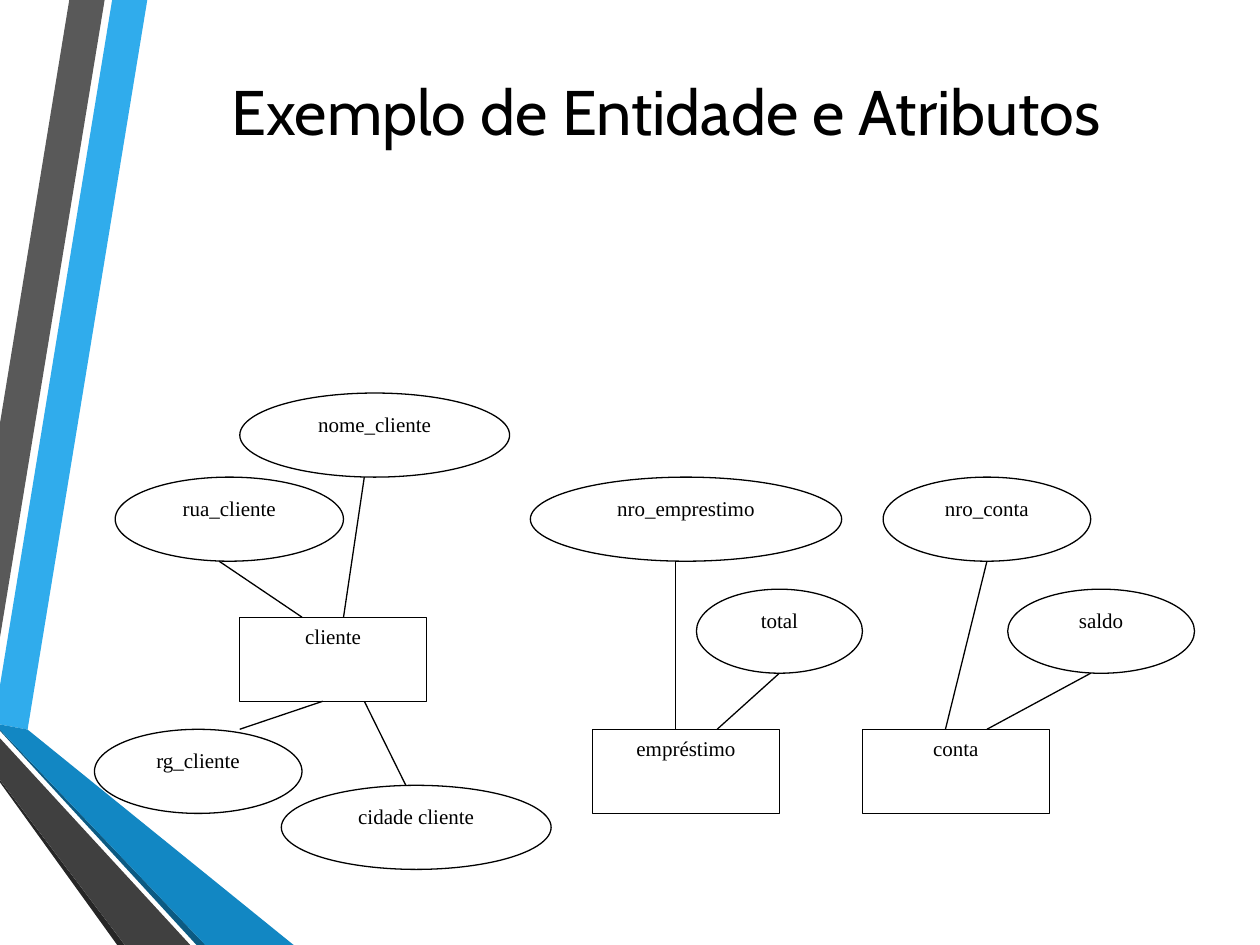
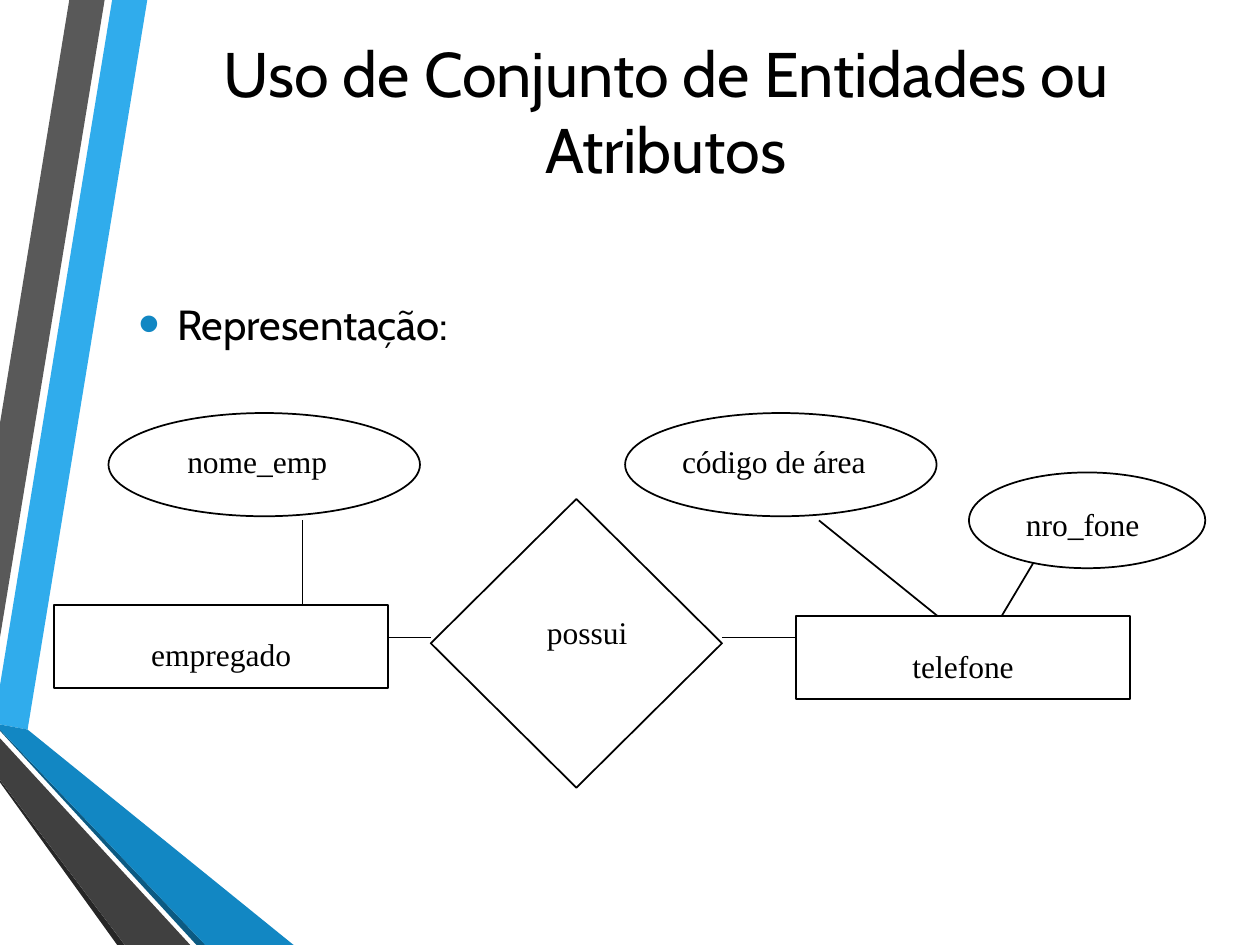
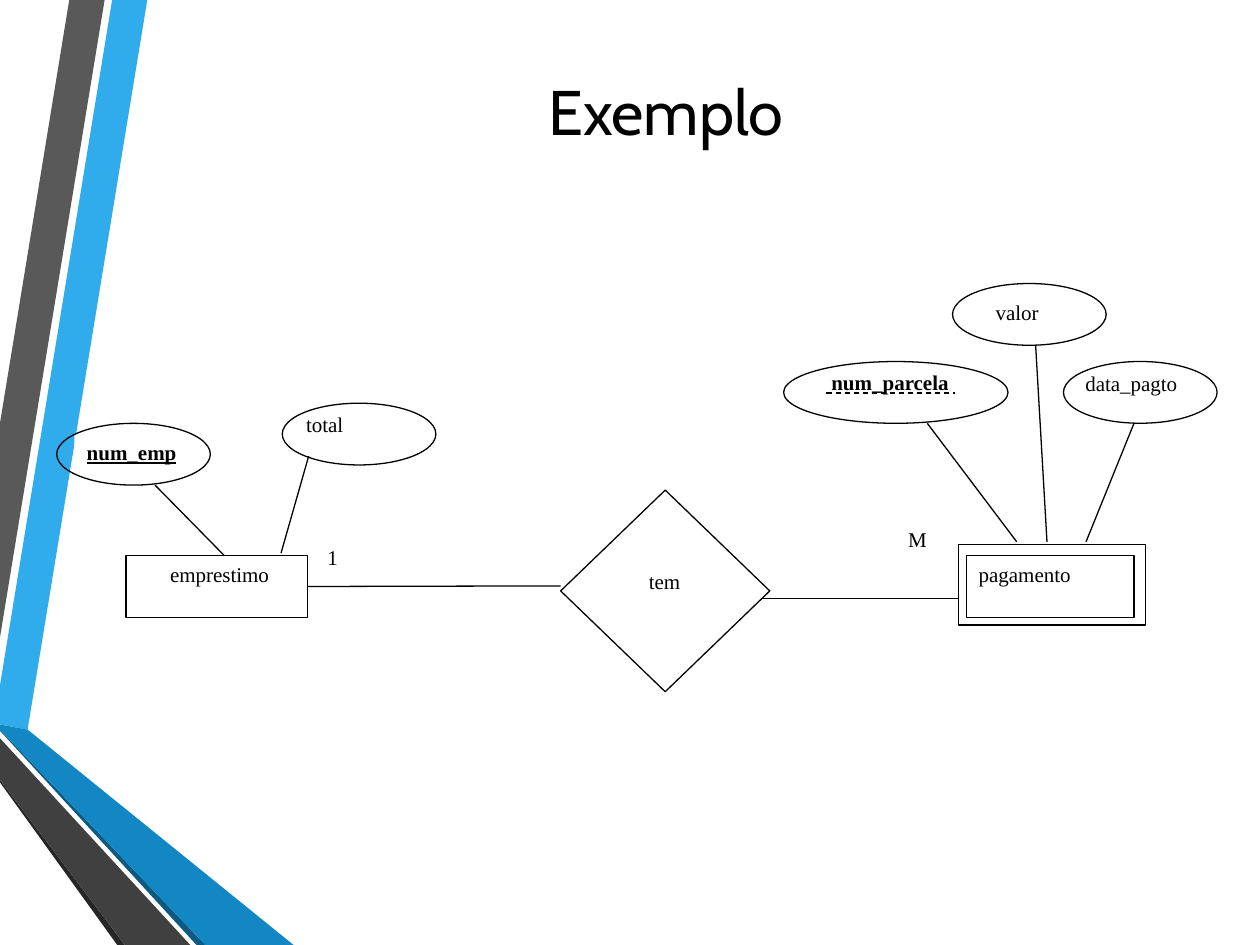
from dataclasses import dataclass
from typing import Any

from lxml.etree import SubElement
from pptx import Presentation
from pptx.dml.color import RGBColor
from pptx.enum.dml import MSO_LINE
from pptx.enum.shapes import MSO_CONNECTOR, MSO_SHAPE as SHAPE
from pptx.enum.text import MSO_ANCHOR as ANCHOR, PP_ALIGN as ALIGN
from pptx.oxml.ns import qn
from pptx.util import Pt


@dataclass(frozen=True)
class Theme:
    ink: str = "000000"
    paper: str = "FFFFFF"
    bullet: str = "1287C3"
    heading_font: str = "Cabin"
    diagram_font: str = "Times New Roman"
    title_size: int = 36
    body_size: int = 24
    large_label: int = 18
    small_label: int = 12
    thin: float = 0.75
    medium: float = 1


THEME = Theme()
SLIDE_WIDTH, SLIDE_HEIGHT = 720, 540
TITLE_BOX = (77, 36, 607, 54)
BANDS = [
    ("30ACEC", [(0, 391.7), (0, 414), (15.8, 416.9), (84.2, 0), (64.1, 0)]),
    ("595959", [(59.8, 0), (39.6, 0), (0, 241.9), (0, 364.3)]),
    ("262626", [(0, 445.7), (0, 447.1), (67, 540), (71.3, 540)]),
    ("0C5A82", [(0, 416.9), (0, 417.6), (112.3, 540), (117.4, 540)]),
    ("1287C3", [(0, 416.9), (117.4, 540), (167.8, 540), (15.8, 416.9), (0, 414)]),
    ("404040", [(0, 445.7), (71.3, 540), (108.7, 540), (0, 421.9)]),
]


def rgb(color):
    return RGBColor.from_string(color)


def write(shape, text, *, size, font=THEME.diagram_font, align=ALIGN.CENTER,
          anchor=ANCHOR.TOP, bold=False, underline=False, left=7.2, top=3.6):
    """Fill a shape with one formatted paragraph; left and top are its insets."""
    frame = shape.text_frame
    frame.word_wrap = True
    frame.vertical_anchor = anchor
    frame.margin_left, frame.margin_top = Pt(left), Pt(top)
    frame.margin_right, frame.margin_bottom = Pt(7.2), Pt(3.6)
    paragraph = frame.paragraphs[0]
    paragraph.alignment = align
    run = paragraph.add_run()
    run.text = text
    run.font.name, run.font.size = font, Pt(size)
    run.font.bold, run.font.underline = bold, underline
    run.font.color.rgb = rgb(THEME.ink)
    return paragraph


def add_bullet(paragraph, indent, hanging):
    properties = paragraph._p.get_or_add_pPr()
    properties.set("marL", str(Pt(indent)))
    properties.set("indent", str(-Pt(hanging)))
    color = SubElement(properties, qn("a:buClr"))
    SubElement(color, qn("a:srgbClr"), val=THEME.bullet)
    SubElement(properties, qn("a:buSzPct"), val="145000")
    SubElement(properties, qn("a:buFont"), typeface="Arial")
    SubElement(properties, qn("a:buChar"), char="•")


@dataclass
class Diagram:
    """A drawing area with its own origin, units and outline style."""
    shapes: Any
    left: float
    top: float
    line_width: float
    label_size: int
    fill: str | None = None
    unit_x: float = 1
    unit_y: float = 1

    def point(self, x, y):
        return Pt(self.left + x * self.unit_x), Pt(self.top + y * self.unit_y)

    def size(self, width, height):
        return Pt(width * self.unit_x), Pt(height * self.unit_y)

    def node(self, kind, x, y, width, height, text="", **text_format):
        node = self.shapes.add_shape(kind, *self.point(x, y), *self.size(width, height))
        node.shadow.inherit = False
        if self.fill:
            node.fill.solid()
            node.fill.fore_color.rgb = rgb(self.fill)
        else:
            node.fill.background()
        node.line.color.rgb = rgb(THEME.ink)
        node.line.width = Pt(self.line_width)
        if text:
            write(node, text, size=self.label_size, **text_format)
        return node

    def label(self, text, x, y, width, height, fill=None, **text_format):
        label = self.shapes.add_textbox(*self.point(x, y), *self.size(width, height))
        if fill:
            label.fill.solid()
            label.fill.fore_color.rgb = rgb(fill)
        write(label, text, size=self.label_size, **text_format)

    def link(self, x1, y1, x2, y2, dashed=False):
        link = self.shapes.add_connector(
            MSO_CONNECTOR.STRAIGHT, *self.point(x1, y1), *self.point(x2, y2))
        link.line.color.rgb = rgb(THEME.ink)
        link.line.width = Pt(self.line_width)
        if dashed:
            link.line.dash_style = MSO_LINE.DASH
        SubElement(link._element.spPr, qn("a:effectLst"))
        return link


def add_bands(slide):
    for color, corners in BANDS:
        start, *others = [(Pt(x), Pt(y)) for x, y in corners]
        outline = slide.shapes.build_freeform(*start)
        outline.add_line_segments(others, close=True)
        band = outline.convert_to_shape()
        band.shadow.inherit = False
        band.fill.solid()
        band.fill.fore_color.rgb = rgb(color)
        band.line.fill.background()


def add_titled_slide(deck, title):
    slide = deck.slides.add_slide(deck.slide_layouts[6])
    add_bands(slide)
    heading = slide.shapes.add_textbox(*map(Pt, TITLE_BOX))
    write(heading, title, size=THEME.title_size, font=THEME.heading_font,
          anchor=ANCHOR.MIDDLE)
    return slide


def add_body(slide, text, box):
    body = slide.shapes.add_textbox(*map(Pt, box))
    paragraph = write(body, text, size=THEME.body_size, font=THEME.heading_font,
                      align=ALIGN.LEFT, anchor=ANCHOR.MIDDLE)
    add_bullet(paragraph, indent=58.3, hanging=22.3)


def draw_bank_entities(slide, left, top, width, height):
    """Lay out three entities and their attributes on a 53 by 17 grid."""
    diagram = Diagram(slide.shapes, left, top, THEME.thin, THEME.small_label,
                      THEME.paper, unit_x=width / 53, unit_y=height / 17)
    node_rows = 3
    entities = [("cliente", 7, 8), ("empréstimo", 24, 12), ("conta", 37, 12)]
    attributes = [
        ("nome_cliente", 7, 0, 13), ("cidade cliente", 9, 14, 13),
        ("saldo", 44, 7, 9), ("nro_conta", 38, 3, 10),
        ("total", 29, 7, 8), ("nro_emprestimo", 21, 3, 15),
        ("rua_cliente", 1, 3, 11), ("rg_cliente", 0, 12, 10),
    ]
    links = [
        (43, 6, 41, 12), (48, 10, 43, 12), (33, 10, 30, 12), (28, 6, 28, 12),
        (6, 6, 10, 8), (13, 3, 12, 8), (7, 12, 11, 11), (15, 14, 13, 11),
    ]
    for name, column, row in entities:
        diagram.node(SHAPE.RECTANGLE, column, row, 9, node_rows, name)
    for name, column, row, columns in attributes:
        diagram.node(SHAPE.OVAL, column, row, columns, node_rows, name)
    for ends in links:
        diagram.link(*ends)


def draw_phone_relationship(slide, left, top):
    diagram = Diagram(slide.shapes, left, top, THEME.medium, THEME.large_label)
    entities = [("empregado", 0, 109.6), ("telefone", 424, 116)]
    attributes = [
        ("nome_emp", (31, 0, 178, 59), (8, 13, 154)),
        ("código de área", (326.2, 0, 178, 59), (8, 13, 154)),
        ("nro_fone", (522.7, 34, 135, 54.7), (6.5, 15, 117)),
    ]
    links = [
        (141.8, 61.4, 141.8, 110), (437, 61.4, 504.7, 116),
        (559.4, 85.8, 541.4, 116),
        (190.8, 128.3, 215.2, 128.3), (381.6, 128.3, 424, 128.3),
    ]
    for name, x, y in entities:
        diagram.node(SHAPE.RECTANGLE, x, y, 190.8, 47.5, name, top=17.5)
    for name, (x, y, width, height), (dx, dy, label_width) in attributes:
        diagram.node(SHAPE.OVAL, x, y, width, height)
        diagram.label(name, x + dx, y + dy, label_width, 36.7)
    diagram.node(SHAPE.DIAMOND, 215.2, 49.1, 166.4, 165)
    diagram.label("possui", 236.8, 111, 135.4, 33.8)
    for ends in links:
        diagram.link(*ends)


def draw_payment_relationship(slide, left, top):
    diagram = Diagram(slide.shapes, left, top, THEME.thin, THEME.small_label, THEME.paper)
    height = 35.3
    attributes = [
        ("num_emp", (0, 79.9, 87.8), (10.1, 5.8, 95.8), dict(bold=True, underline=True)),
        ("total", (128.9, 68.4, 87.8), (6.5, 1.4, 72), {}),
        ("num_parcela", (415.4, 44.6, 128.2), (20.2, 0.8, 120.2), dict(bold=True)),
        ("data_pagto", (575.3, 44.6, 87.8), (-0.7, 1.5, 95.8), dict(left=13.2)),
        ("valor", (511.9, 0, 87.8), (14.4, 5.8, 56.2), dict(left=10.2)),
    ]
    links = [
        (56.2, 115.2, 95.8, 155.5), (144, 98.6, 128.2, 154.1),
        (497.5, 79.9, 548.6, 147.6), (615.6, 79.9, 588.2, 147.6),
        (559.4, 35.3, 565.9, 147.6),
    ]
    diagram.link(399.6, 180, 519.8, 180)
    diagram.node(SHAPE.RECTANGLE, 515.5, 149.1, 106.6, 46.1)
    diagram.node(SHAPE.DIAMOND, 288, 118.1, 119.5, 115.2)
    diagram.label("tem", 299.5, 159.1, 95.8, 31)
    loan = diagram.node(SHAPE.RECTANGLE, 39.6, 155.5, 103.7, height, "emprestimo",
                        align=ALIGN.LEFT, left=25.2)
    diagram.node(SHAPE.RECTANGLE, 519.8, 155.5, 95.8, height, "pagamento",
                 align=ALIGN.LEFT)
    diagram.link(143.3, 172.8, 288, 172.8).begin_connect(loan, 3)

    for name, (x, y, width), (dx, dy, label_width), text_format in attributes:
        diagram.label(name, x + dx, y + dy, label_width, height, fill=THEME.paper,
                      align=ALIGN.LEFT, **text_format)
    diagram.fill = None
    for _, (x, y, width), *_ in attributes:
        diagram.node(SHAPE.OVAL, x, y, width, height)
    for ends in links:
        diagram.link(*ends)
    diagram.link(439.9, 62.6, 513.4, 62.6, dashed=True)
    for cardinality, x, y in [("1", 147.6, 145.4), ("M", 479.5, 135.4)]:
        diagram.label(cardinality, x, y, 31.7, height, align=ALIGN.LEFT)


def main():
    deck = Presentation()
    deck.slide_width, deck.slide_height = Pt(SLIDE_WIDTH), Pt(SLIDE_HEIGHT)

    entities = add_titled_slide(deck, "Exemplo de Entidade e Atributos")
    draw_bank_entities(entities, 54, 224.6, 628.6, 272.2)

    choice = add_titled_slide(deck, "Uso de Conjunto de Entidades ou Atributos")
    add_body(choice, "Representação:", (36, 156, 653, 58))
    draw_phone_relationship(choice, 31, 236)

    example = add_titled_slide(deck, "Exemplo")
    draw_payment_relationship(example, 32.4, 162)

    deck.save("out.pptx")


if __name__ == "__main__":
    main()
